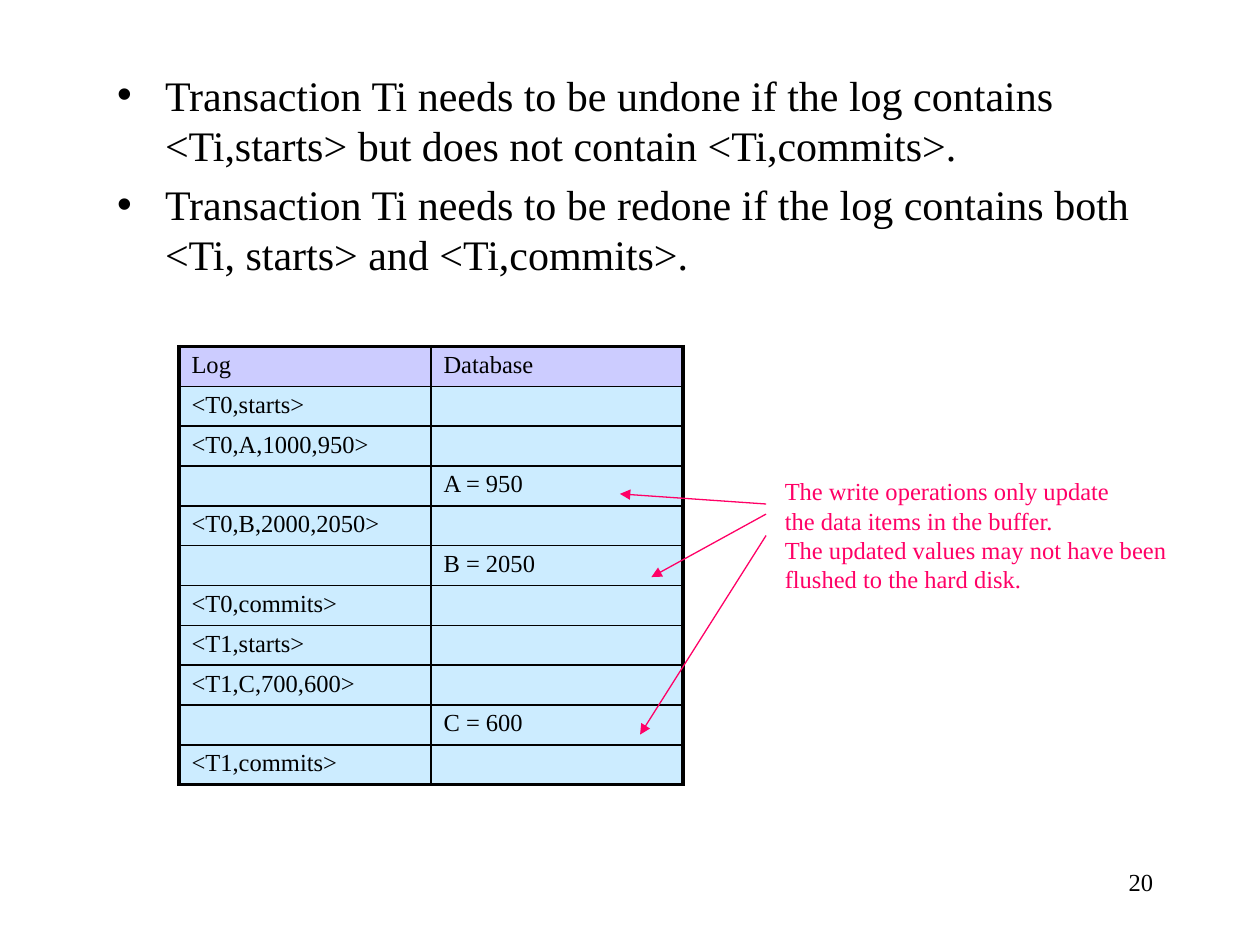
from lxml import etree
from pptx import Presentation
from pptx import util as u
from pptx.dml.color import RGBColor
from pptx.enum import shapes, text
from pptx.oxml.ns import qn

BLACK = RGBColor(0, 0, 0)
PINK = RGBColor(0xFF, 0x00, 0x66)
LILAC = RGBColor(0xCC, 0xCC, 0xFF)
SKY = RGBColor(0xCC, 0xEC, 0xFF)
THICK, THIN = 2.25, 1

RULES = [
    "Transaction Ti needs to be undone if the log contains "
    "<Ti,starts> but does not contain <Ti,commits>.",
    "Transaction Ti needs to be redone if the log contains both "
    "<Ti, starts> and <Ti,commits>.",
]
STEPS = [
    ("Log", "Database"),
    ("<T0,starts>", ""),
    ("<T0,A,1000,950>", ""),
    ("", "A = 950"),
    ("<T0,B,2000,2050>", ""),
    ("", "B = 2050"),
    ("<T0,commits>", ""),
    ("<T1,starts>", ""),
    ("<T1,C,700,600>", ""),
    ("", "C = 600"),
    ("<T1,commits>", ""),
]
NOTE = [
    "The write operations only update",
    "the data items in the buffer.",
    "The updated values may not have been",
    "flushed to the hard disk.",
]
ARROWS = [
    ((6.08, 4), (4.92, 3.92)),
    ((6.08, 4.08), (5.17, 4.58)),
    ((6.08, 4.25), (5.08, 5.83)),
]


class Page:
    face = "Times New Roman"
    small = 14

    def __init__(self, slide):
        self.slide = slide

    def lines(self, frame, rows, size, color):
        """Fill a frame with one paragraph per row and return them."""
        for i, row in enumerate(rows):
            para = frame.paragraphs[0] if i == 0 else frame.add_paragraph()
            run = para.add_run()
            run.text = row
            run.font.name = self.face
            run.font.size = u.Pt(size)
            run.font.color.rgb = color
        return frame.paragraphs

    def bullets(self, box, rows):
        body = self.slide.placeholders[1]
        body.left, body.top, body.width, body.height = map(u.Inches, box)
        body.text_frame.auto_size = text.MSO_AUTO_SIZE.NONE
        for para in self.lines(body.text_frame, rows, 24, BLACK):
            props = para._p.get_or_add_pPr()
            props.set("marL", str(u.Inches(0.38)))
            props.set("indent", str(u.Inches(-0.38)))

    def label(self, box, rows, color, wrap=True, align=None):
        shape = self.slide.shapes.add_textbox(*map(u.Inches, box))
        shape.text_frame.word_wrap = wrap
        for para in self.lines(shape.text_frame, rows, self.small, color):
            para.alignment = align

    def edge(self, cell, side, width):
        line = etree.SubElement(cell._tc.get_or_add_tcPr(), qn("a:" + side),
                                w=str(u.Pt(width)))
        fill = etree.SubElement(line, qn("a:solidFill"))
        etree.SubElement(fill, qn("a:srgbClr"), val=str(BLACK))

    def table(self, box, rows):
        last, end = len(rows) - 1, len(rows[0]) - 1
        shape = self.slide.shapes.add_table(last + 1, end + 1,
                                            *map(u.Inches, box))
        for r, row in enumerate(rows):
            for c, words in enumerate(row):
                cell = shape.table.cell(r, c)
                cell.margin_top = cell.margin_bottom = u.Inches(0.04)
                if words:
                    self.lines(cell.text_frame, [words], self.small, BLACK)
                else:
                    # An empty cell still needs the small font for its height
                    etree.SubElement(cell.text_frame.paragraphs[0]._p,
                                     qn("a:endParaRPr"),
                                     sz=str(self.small * 100))
                # Borders come before the fill: thick outside, thin inside
                outer = {"lnL": c == 0, "lnR": c == end,
                         "lnT": r == 0, "lnB": r == last}
                for side, rim in outer.items():
                    self.edge(cell, side, THICK if rim else THIN)
                cell.fill.solid()
                cell.fill.fore_color.rgb = LILAC if r == 0 else SKY

    def arrow(self, start, stop):
        link = self.slide.shapes.add_connector(
            shapes.MSO_CONNECTOR.STRAIGHT, *map(u.Inches, start + stop))
        link.line.color.rgb = PINK
        link.line.width = u.Pt(0.75)
        props = link._element.spPr
        etree.SubElement(props.find(qn("a:ln")), qn("a:tailEnd"),
                         type="triangle")
        etree.SubElement(props, qn("a:effectLst"))


def main():
    deck = Presentation()
    deck.slide_width, deck.slide_height = u.Inches(10), u.Inches(7.5)
    slide = deck.slides.add_slide(deck.slide_layouts[1])
    title = slide.shapes.title._element
    title.getparent().remove(title)
    page = Page(slide)

    # Slide number
    page.label((7.17, 6.83, 2.08, 0.5), ["20"], BLACK,
               align=text.PP_ALIGN.RIGHT)

    # Undo and redo rules
    page.bullets((0.83, 0.5, 8.5, 1.83), RULES)

    # Log beside database
    page.table((1.42, 2.75, 4, 3.48), STEPS)

    # Note on the buffered writes
    for start, stop in ARROWS:
        page.arrow(start, stop)
    page.label((6.13, 3.73, 3.31, 1.04), NOTE, PINK, wrap=False)

    deck.save("out.pptx")


if __name__ == "__main__":
    main()
